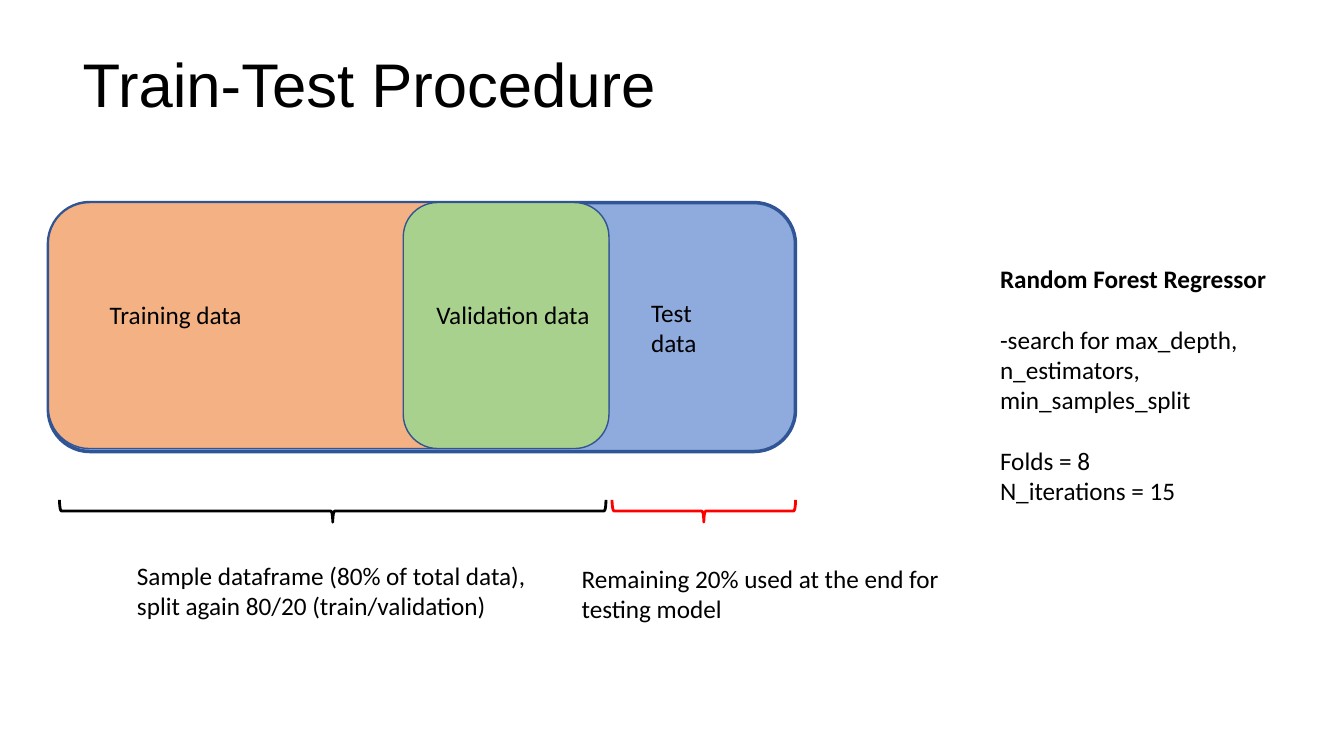
from pptx import Presentation
from pptx import util as u
from pptx.dml.color import RGBColor
from pptx.enum import shapes, text

PX = 9144  # EMU in one px, 100 px to the inch
BLACK = RGBColor(0x00, 0x00, 0x00)
RED = RGBColor(0xFF, 0x00, 0x00)
BLUE = RGBColor(0x8F, 0xAA, 0xDC)
NAVY = RGBColor(0x2F, 0x55, 0x97)
INK = RGBColor(0x32, 0x54, 0x91)
ORANGE = RGBColor(0xF4, 0xB1, 0x83)
GREEN = RGBColor(0xA9, 0xD1, 0x8E)
LINE = 22  # height of one 18 pt text line, in points


def px(*sizes):
    return [u.Emu(size * PX) for size in sizes]


def write(para, words, font="Calibri", size=18, color=BLACK, bold=False,
          before=0):
    run = para.add_run()
    run.text = words
    run.font.name, run.font.size = font, u.Pt(size)
    run.font.color.rgb, run.font.bold = color, bold
    para.alignment = text.PP_ALIGN.LEFT
    para.space_before = u.Pt(before)


def label(slide, box, *lines):
    """Each line is its words and a dict of its format."""
    frame = slide.shapes.add_textbox(*px(*box)).text_frame
    frame.word_wrap = True
    frame.auto_size = text.MSO_AUTO_SIZE.SHAPE_TO_FIT_TEXT
    for i, (words, form) in enumerate(lines):
        para = frame.add_paragraph() if i else frame.paragraphs[0]
        write(para, words, **form)


def shape(slide, kind, box, line, width, fill=None):
    item = slide.shapes.add_shape(kind, *px(*box))
    item.shadow.inherit = False
    item.line.color.rgb, item.line.width = line, u.Pt(width)
    if fill is None:
        item.fill.background()
    else:
        item.fill.solid()
        item.fill.fore_color.rgb = fill
    return item


def title(slide, box):
    head = slide.shapes.title
    head.left, head.top, head.width, head.height = px(*box)
    head.text_frame.vertical_anchor = text.MSO_ANCHOR.MIDDLE
    para = head.text_frame.paragraphs[0]
    para.line_spacing = 0.9
    write(para, "Train-Test Procedure", font="Arial", size=44)


def split(slide, box):
    """Nested blocks for the three parts of the data."""
    x, y, w, h = box
    block = shapes.MSO_SHAPE.ROUNDED_RECTANGLE
    shape(slide, block, box, NAVY, 2.5, BLUE)
    shape(slide, block, (x, y, 556, h - 3), INK, 1, ORANGE)
    shape(slide, block, (x + 352, y, 204, h - 3), INK, 1, GREEN)
    label(slide, (x + 51, y + 91, 250, 40), ("Training data", {}))
    label(slide, (x + 375, y + 91, 250, 40), ("Validation data", {}))
    label(slide, (x + 588, y + 89, 250, 71), ("Test", {}), ("data", {}))


def brace(slide, box, color):
    """A right brace turned to point down, filling the given box."""
    x, y, w, h = box
    upright = (x + (w - h) // 2, y - (w - h) // 2, h, w)
    item = shape(slide, shapes.MSO_SHAPE.RIGHT_BRACE, upright, color, 2)
    item.rotation = 90


def shares(slide, box):
    """Braces under the blocks, each with its caption."""
    x, y, w, h = box
    brace(slide, (x, y, 542, 22), BLACK)
    brace(slide, (x + w - 182, y, 182, 22), RED)
    label(slide, (x + 67, y + 55, 422, 71),
          ("Sample dataframe (80% of total data), "
           "split again 80/20 (train/validation)", {}))
    label(slide, (x + 508, y + 58, 422, 71),
          ("Remaining 20% used at the end for testing model", {}))


def model(slide, box):
    """Notes on the model and its search."""
    label(slide, box,
          ("Random Forest Regressor", {"bold": True}),
          ("-search for max_depth, n_estimators, min_samples_split",
           {"before": LINE}),
          ("Folds = 8", {"before": LINE}),
          ("N_iterations = 15", {}))


def main():
    deck = Presentation()
    deck.slide_width, deck.slide_height = px(1333, 750)
    slide = deck.slides.add_slide(deck.slide_layouts[5])
    title(slide, (72, 14, 1150, 145))
    split(slide, (48, 201, 741, 247))
    shares(slide, (59, 496, 730, 22))
    model(slide, (982, 256, 303, 252))
    deck.save("out.pptx")


if __name__ == "__main__":
    main()
